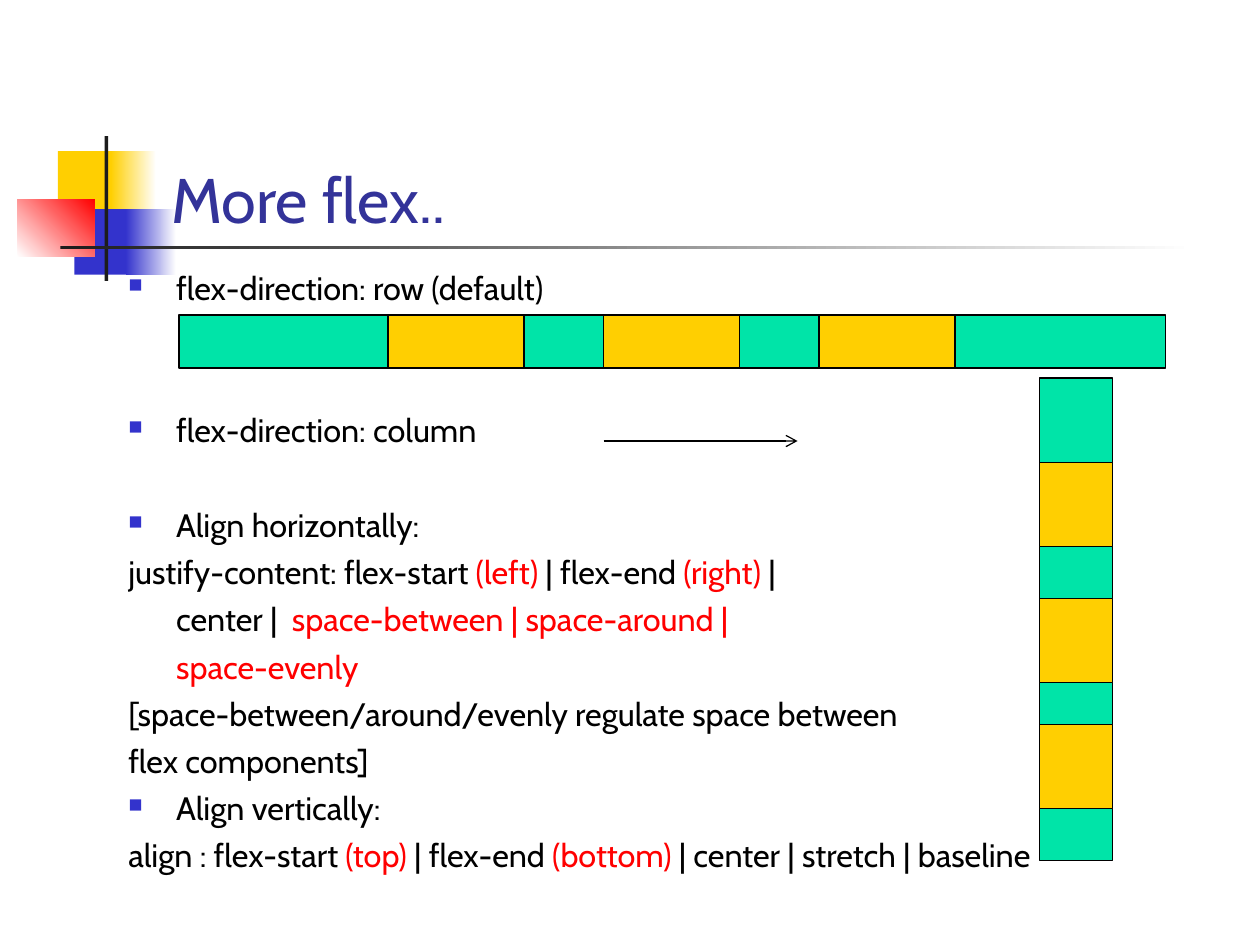
from lxml import etree
from pptx import Presentation
from pptx.dml.color import RGBColor
from pptx.enum.shapes import MSO_CONNECTOR, MSO_SHAPE
from pptx.enum.text import MSO_ANCHOR
from pptx.oxml.ns import qn
from pptx.util import Inches, Pt

RECTANGLE = MSO_SHAPE.RECTANGLE
STRAIGHT = MSO_CONNECTOR.STRAIGHT
BOTTOM = MSO_ANCHOR.BOTTOM

YELLOW = RGBColor(0xFF, 0xCF, 0x01)
BLUE = RGBColor(0x33, 0x33, 0xCC)
RED = RGBColor(0xFF, 0x00, 0x00)
GREEN = RGBColor(0x00, 0xE4, 0xA8)
CHARCOAL = RGBColor(0x1C, 0x1C, 0x1C)
TITLE_BLUE = RGBColor(0x33, 0x33, 0x99)
BLACK = RGBColor(0x00, 0x00, 0x00)
WHITE = RGBColor(0xFF, 0xFF, 0xFF)

FONT = "Cabin"
INDENT = Inches(0.38)
SPACING = 4.7
LINE_PITCH = 27.2

BULLET, HANGING, CONTINUED = "bullet", "hanging", "continued"

LINES = [
    (BULLET, 0, [("flex-direction: row (default)", BLACK)]),
    (BULLET, 2, [("flex-direction: column", BLACK)]),
    (BULLET, 1, [("Align horizontally:", BLACK)]),
    (HANGING, 0, [("justify-content: flex-start ", BLACK), ("(left) ", RED),
                  ("| flex-end ", BLACK), ("(right) ", RED), ("|", BLACK)]),
    (CONTINUED, 0, [("center |  ", BLACK),
                    ("space-between | space-around |", RED)]),
    (CONTINUED, 0, [("space-evenly", RED)]),
    (HANGING, 0, [("[space-between/around/evenly regulate space between", BLACK)]),
    (HANGING, 0, [("flex components]", BLACK)]),
    (BULLET, 0, [("Align vertically:", BLACK)]),
    (HANGING, 0, [("align : flex-start ", BLACK), ("(top)", RED),
                  (" | flex-end ", BLACK), ("(bottom) ", RED),
                  ("| center | stretch | baseline", BLACK)]),
]


def add_rectangle(page, left, top, width, height):
    box = page.shapes.add_shape(RECTANGLE, Inches(left), Inches(top),
                                Inches(width), Inches(height))
    box.shadow.inherit = False
    box.line.fill.background()
    return box


def add_solid(page, place, color):
    box = add_rectangle(page, *place)
    box.fill.solid()
    box.fill.fore_color.rgb = color
    return box


def add_gradient(page, place, start, end, angle=0):
    box = add_rectangle(page, *place)
    box.fill.gradient()
    box.fill.gradient_angle = angle
    for stop, color in zip(box.fill.gradient_stops, (start, end)):
        stop.color.rgb = color


def add_flex_item(page, place, color):
    box = add_solid(page, place, color)
    box.line.color.rgb = BLACK
    box.line.width = Pt(0.75)


def add_text_box(page, left, top, width, height):
    box = page.shapes.add_textbox(Inches(left), Inches(top),
                                  Inches(width), Inches(height))
    box.text_frame.word_wrap = True
    return box.text_frame


def add_decoration(page):
    add_solid(page, (0.46, 1.2, 0.48, 0.52), YELLOW)
    add_gradient(page, (0.88, 1.2, 0.36, 0.52), YELLOW, WHITE)
    add_solid(page, (0.59, 1.66, 0.46, 0.52), BLUE)
    add_gradient(page, (1, 1.66, 0.4, 0.52), BLUE, WHITE)
    add_gradient(page, (0.14, 1.58, 0.61, 0.46), WHITE, RED, 45)
    add_solid(page, (0.83, 1.08, 0.03, 1.15), CHARCOAL)
    add_gradient(page, (0.48, 1.95, 9, 0.03), CHARCOAL, WHITE)


def add_title(page, text):
    frame = add_text_box(page, 1.26, 0.67, 8.52, 1.25)
    frame.vertical_anchor = BOTTOM
    para = frame.paragraphs[0]
    para.text = text
    para.font.name = FONT
    para.font.size = Pt(36)
    para.font.color.rgb = TITLE_BLUE


def set_indent(para, style):
    properties = para._p.get_or_add_pPr()
    properties.set("marL", str(INDENT))
    properties.set("indent", str(0 if style == CONTINUED else -INDENT))
    if style == BULLET:
        color = etree.SubElement(properties, qn("a:buClr"))
        etree.SubElement(color, qn("a:srgbClr"), val=str(BLUE))
        etree.SubElement(properties, qn("a:buSzPct"), val="60000")
        etree.SubElement(properties, qn("a:buChar"), char="■")
    else:
        etree.SubElement(properties, qn("a:buNone"))


def add_body(page):
    frame = add_text_box(page, 0.92, 2.08, 9.08, 5.42)
    for number, (style, skipped, spans) in enumerate(LINES):
        para = frame.add_paragraph() if number else frame.paragraphs[0]
        para.space_before = Pt(SPACING + skipped * LINE_PITCH)
        set_indent(para, style)
        para.font.name = FONT
        para.font.size = Pt(18.5)
        for text, color in spans:
            span = para.add_run()
            span.text = text
            span.font.color.rgb = color


def add_flex_row(page):
    top, height = 2.5, 0.42
    add_flex_item(page, (1.42, top, 7.83, height), GREEN)
    for number in range(3):
        add_flex_item(page, (3.08 + number * 1.71, top, 1.08, height), YELLOW)


def add_flex_column(page):
    left, width = 8.25, 0.58
    add_flex_item(page, (left, 3, width, 3.83), GREEN)
    for top in (3.67, 4.75, 5.75):
        add_flex_item(page, (left, top, width, 0.67), YELLOW)


def add_arrow(page, left, right, y):
    arrow = page.shapes.add_connector(STRAIGHT, Inches(left), Inches(y),
                                      Inches(right), Inches(y))
    arrow.line.color.rgb = BLACK
    arrow.line.width = Pt(0.75)
    etree.SubElement(arrow.line._get_or_add_ln(), qn("a:tailEnd"), type="arrow")
    etree.SubElement(arrow._element.spPr, qn("a:effectLst"))


def main():
    deck = Presentation()
    deck.slide_width = Inches(10)
    deck.slide_height = Inches(7.5)
    page = deck.slides.add_slide(deck.slide_layouts[6])
    add_decoration(page)
    add_title(page, "More flex..")
    add_body(page)
    add_flex_row(page)
    add_flex_column(page)
    add_arrow(page, 4.79, 6.33, 3.5)
    deck.save("out.pptx")


if __name__ == "__main__":
    main()
